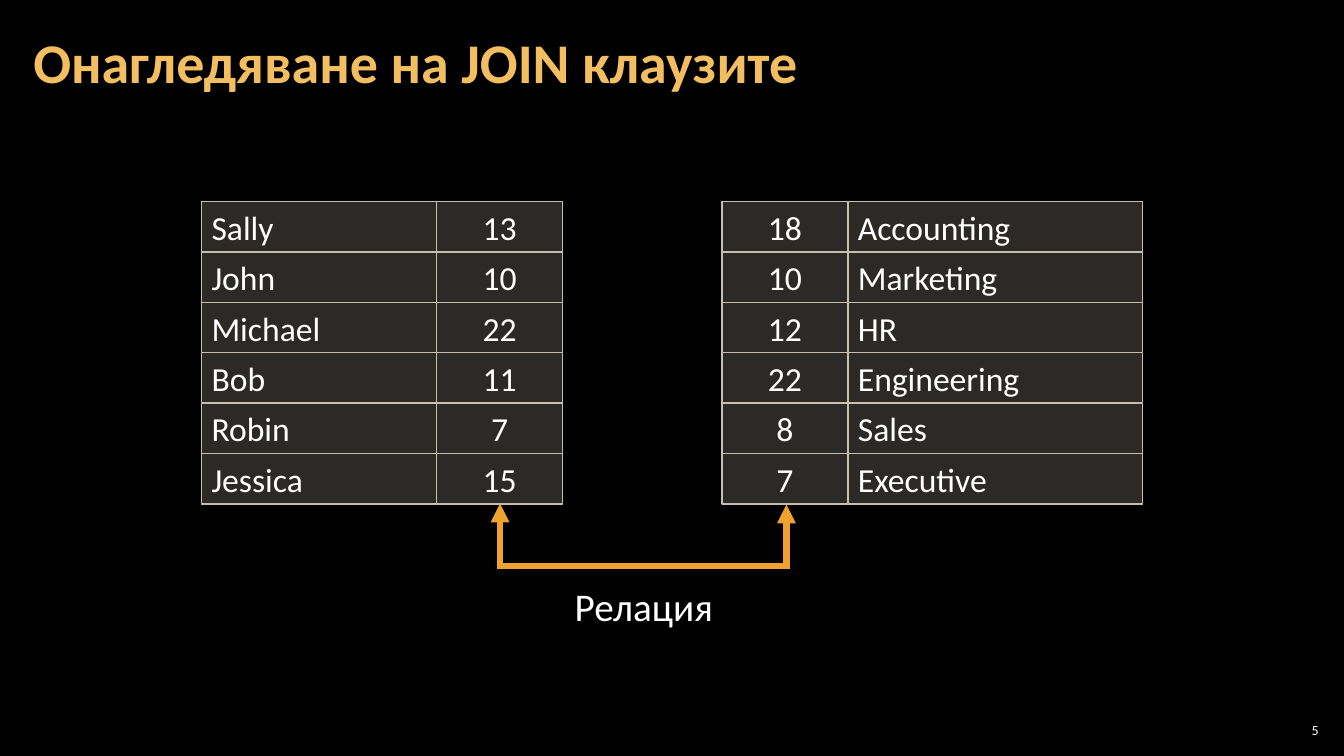
import pptx
import pptx.util
import pptx.dml.color
import pptx.enum.shapes
import pptx.enum.text
import pptx.oxml.ns
from lxml import etree

Inches = pptx.util.Inches
Pt = pptx.util.Pt
RGBColor = pptx.dml.color.RGBColor
PP_ALIGN = pptx.enum.text.PP_ALIGN
MSO_ANCHOR = pptx.enum.text.MSO_ANCHOR
qn = pptx.oxml.ns.qn

BLACK = RGBColor(0x00, 0x00, 0x00)
WHITE = RGBColor(0xFF, 0xFF, 0xFF)
GOLD = RGBColor(0xF3, 0xBE, 0x60)
ORANGE = RGBColor(0xF0, 0xA2, 0x2E)
SAND = RGBColor(0xD9, 0xD5, 0xC7)
BORDER = RGBColor(0xC7, 0xBF, 0xAC)
FONT = "Calibri"

ROW_H = 0.5
GRID_TOP = 2
EMPLOYEES = [("Sally", "13"), ("John", "10"), ("Michael", "22"),
             ("Bob", "11"), ("Robin", "7"), ("Jessica", "15")]
DEPARTMENTS = [("18", "Accounting"), ("10", "Marketing"), ("12", "HR"),
               ("22", "Engineering"), ("8", "Sales"), ("7", "Executive")]


def write_text(sp, text, size, color=WHITE, bold=False,
               align=PP_ALIGN.LEFT, anchor=MSO_ANCHOR.MIDDLE,
               inset=(0.1, 0.05), wrap=True, spacing=None):
    tf = sp.text_frame
    tf.word_wrap = wrap
    tf.vertical_anchor = anchor
    tf.margin_left = tf.margin_right = Inches(inset[0])
    tf.margin_top = tf.margin_bottom = Inches(inset[1])
    p = tf.paragraphs[0]
    p.alignment = align
    p.line_spacing = spacing
    r = p.add_run()
    r.text = text
    r.font.name = FONT
    r.font.size = Pt(size)
    r.font.bold = bold
    r.font.color.rgb = color


def add_text(slide, box, text, size, **style):
    sp = slide.shapes.add_textbox(*map(Inches, box))
    write_text(sp, text, size, **style)


def add_cell(slide, box, text, align):
    """Translucent bordered rectangle with one value."""
    sp = slide.shapes.add_shape(
        pptx.enum.shapes.MSO_SHAPE.RECTANGLE, *map(Inches, box))
    sp.shadow.inherit = False
    sp.fill.solid()
    sp.fill.fore_color.rgb = SAND
    color = sp._element.spPr.find(qn("a:solidFill")).find(qn("a:srgbClr"))
    etree.SubElement(color, qn("a:alpha"), val="20000")
    sp.line.color.rgb = BORDER
    sp.line.width = Pt(1)
    write_text(sp, text, 24, align=align)


def add_grid(slide, left, widths, rows, key_col):
    for i, values in enumerate(rows):
        for j, value in enumerate(values):
            box = (left + sum(widths[:j]), GRID_TOP + i * ROW_H,
                   widths[j], ROW_H)
            align = PP_ALIGN.CENTER if j == key_col else PP_ALIGN.LEFT
            add_cell(slide, box, value, align)


def add_relation_arrow(slide, x1, x2, y, drop):
    """Elbow arrow that hangs below y and points up at x1 and x2."""
    thin = 0.01
    mid, half = (x1 + x2) / 2, (x2 - x1) / 2
    # Drawn upright, then turned a quarter to the left
    cxn = slide.shapes.add_connector(
        pptx.enum.shapes.MSO_CONNECTOR.ELBOW,
        Inches(mid + thin / 2), Inches(y - half),
        Inches(mid - thin / 2), Inches(y + half))
    cxn.line.color.rgb = ORANGE
    cxn.line.width = Pt(4.5)
    sp_pr = cxn._element.spPr
    sp_pr.find(qn("a:xfrm")).set("rot", str(270 * 60000))
    adjust = sp_pr.find(qn("a:prstGeom")).find(qn("a:avLst"))
    etree.SubElement(adjust, qn("a:gd"), name="adj1",
                     fmla=f"val {round(drop / thin * 100000)}")
    ln = sp_pr.find(qn("a:ln"))
    etree.SubElement(ln, qn("a:miter"), lim="800000")
    for end in ("a:headEnd", "a:tailEnd"):
        etree.SubElement(ln, qn(end), type="triangle")
    etree.SubElement(sp_pr, qn("a:effectLst"))


def main():
    prs = pptx.Presentation()
    prs.slide_width, prs.slide_height = Inches(13.33), Inches(7.5)
    slide = prs.slides.add_slide(prs.slide_layouts[6])
    slide.background.fill.solid()
    slide.background.fill.fore_color.rgb = BLACK

    # Title
    add_text(slide, (0.21, 0.04, 12.91, 1.21), "Онагледяване на JOIN клаузите",
             40, color=GOLD, bold=True, inset=(0.12, 0.04), spacing=0.9)

    # Joined grids
    add_grid(slide, 2, (2.33, 1.25), EMPLOYEES, key_col=1)
    add_grid(slide, 7.16, (1.25, 2.92), DEPARTMENTS, key_col=0)

    # Relation between the key columns
    add_relation_arrow(slide, 4.96, 7.8, GRID_TOP + ROW_H * len(EMPLOYEES), 0.63)
    add_text(slide, (5.59, 5.73, 1.59, 0.57), "Релация", 28,
             align=PP_ALIGN.CENTER, anchor=MSO_ANCHOR.TOP, wrap=False)

    # Slide number
    add_text(slide, (12.65, 7.14, 0.47, 0.21), "5", 10,
             align=PP_ALIGN.RIGHT, inset=(0.04, 0.04))

    prs.save("out.pptx")


if __name__ == "__main__":
    main()
